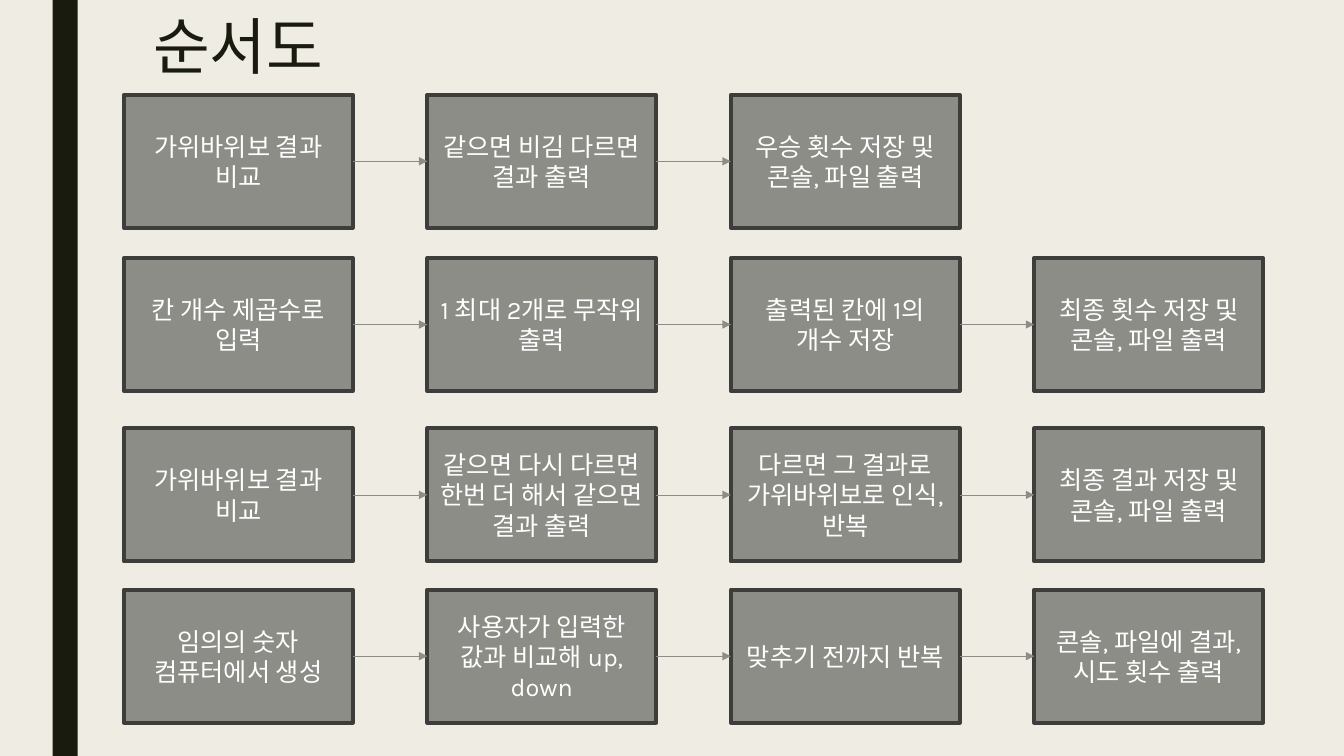
from lxml import etree
from pptx import Presentation
from pptx.dml.color import RGBColor
from pptx.enum import shapes as sh, text as tx
from pptx.oxml import ns
from pptx.util import Pt

CREAM = RGBColor(0xEF, 0xED, 0xE3)
DARK = RGBColor(0x19, 0x1B, 0x0E)
GRAY = RGBColor(0x8C, 0x8D, 0x86)
EDGE = RGBColor(0x3D, 0x3E, 0x3B)
WHITE = RGBColor(0xFF, 0xFF, 0xFF)

LEFT, STEP = 88.5, 216.75
WIDE, HIGH = 163.5, 95
FLOWS = [
    (67.7, ["가위바위보 결과 비교", "같으면 비김 다르면 결과 출력",
            "우승 횟수 저장 및 콘솔, 파일 출력"]),
    (184.3, ["칸 개수 제곱수로 입력", "1 최대 2개로 무작위 출력",
             "출력된 칸에 1의 개수 저장", "최종 횟수 저장 및 콘솔, 파일 출력"]),
    (306, ["가위바위보 결과 비교", "같으면 다시 다르면 한번 더 해서 같으면 결과 출력",
           "다르면 그 결과로 가위바위보로 인식, 반복",
           "최종 결과 저장 및 콘솔, 파일 출력"]),
    (421.2, ["임의의 숫자 컴퓨터에서 생성", "사용자가 입력한 값과 비교해 up, down",
             "맞추기 전까지 반복", "콘솔, 파일에 결과, 시도 횟수 출력"]),
]


def apply(item, form):
    for key, value in form.items():
        setattr(item, key, value)


def write(shape, words, size, color, frame, para):
    apply(shape.text_frame, {"text": words, "word_wrap": True, **frame})
    line = shape.text_frame.paragraphs[0]
    apply(line, para)
    font = line.runs[0].font
    apply(font, {"name": "Karla", "size": Pt(size), "bold": False})
    font.color.rgb = color


def add_block(slide, kind, place, fill):
    block = slide.shapes.add_shape(kind, *map(Pt, place))
    block.shadow.inherit = False
    block.fill.solid()
    block.fill.fore_color.rgb = fill
    block.line.fill.background()
    return block


def add_step(slide, words, left, top):
    step = add_block(slide, sh.MSO_SHAPE.FLOWCHART_PROCESS,
                     (left, top, WIDE, HIGH), GRAY)
    step.line.color.rgb = EDGE
    step.line.width = Pt(2.75)
    write(step, words, 18, WHITE,
          {"vertical_anchor": tx.MSO_ANCHOR.MIDDLE},
          {"alignment": tx.PP_ALIGN.CENTER})
    return step


def add_arrow(slide, start, end):
    arrow = slide.shapes.add_connector(sh.MSO_CONNECTOR.STRAIGHT, 0, 0, 0, 0)
    arrow.begin_connect(start, 3)
    arrow.end_connect(end, 1)
    arrow.line.color.rgb = GRAY
    arrow.line.width = Pt(0.5)
    line = arrow.line._get_or_add_ln()
    etree.SubElement(line, ns.qn("a:tailEnd"), type="triangle")
    etree.SubElement(arrow._element.spPr, ns.qn("a:effectLst"))


def add_flow(slide, top, texts):
    steps = [add_step(slide, words, LEFT + col * STEP, top)
             for col, words in enumerate(texts)]
    for start, end in zip(steps, steps[1:]):
        add_arrow(slide, start, end)


def add_title(slide, words):
    title = slide.shapes.title
    apply(title, {"left": Pt(102.2), "top": Pt(8.6),
                  "width": Pt(756), "height": Pt(116.6)})
    write(title, words, 44, DARK,
          {"vertical_anchor": tx.MSO_ANCHOR.TOP,
           "auto_size": tx.MSO_AUTO_SIZE.NONE},
          {"alignment": tx.PP_ALIGN.LEFT, "line_spacing": 0.89})


def main():
    deck = Presentation()
    apply(deck, {"slide_width": Pt(960), "slide_height": Pt(540)})
    slide = deck.slides.add_slide(deck.slide_layouts[5])
    slide.background.fill.solid()
    slide.background.fill.fore_color.rgb = CREAM
    add_block(slide, sh.MSO_SHAPE.RECTANGLE, (37.5, 0, 18, 540), DARK)
    add_title(slide, "순서도")
    for top, texts in FLOWS:
        add_flow(slide, top, texts)
    deck.save("out.pptx")


if __name__ == "__main__":
    main()
